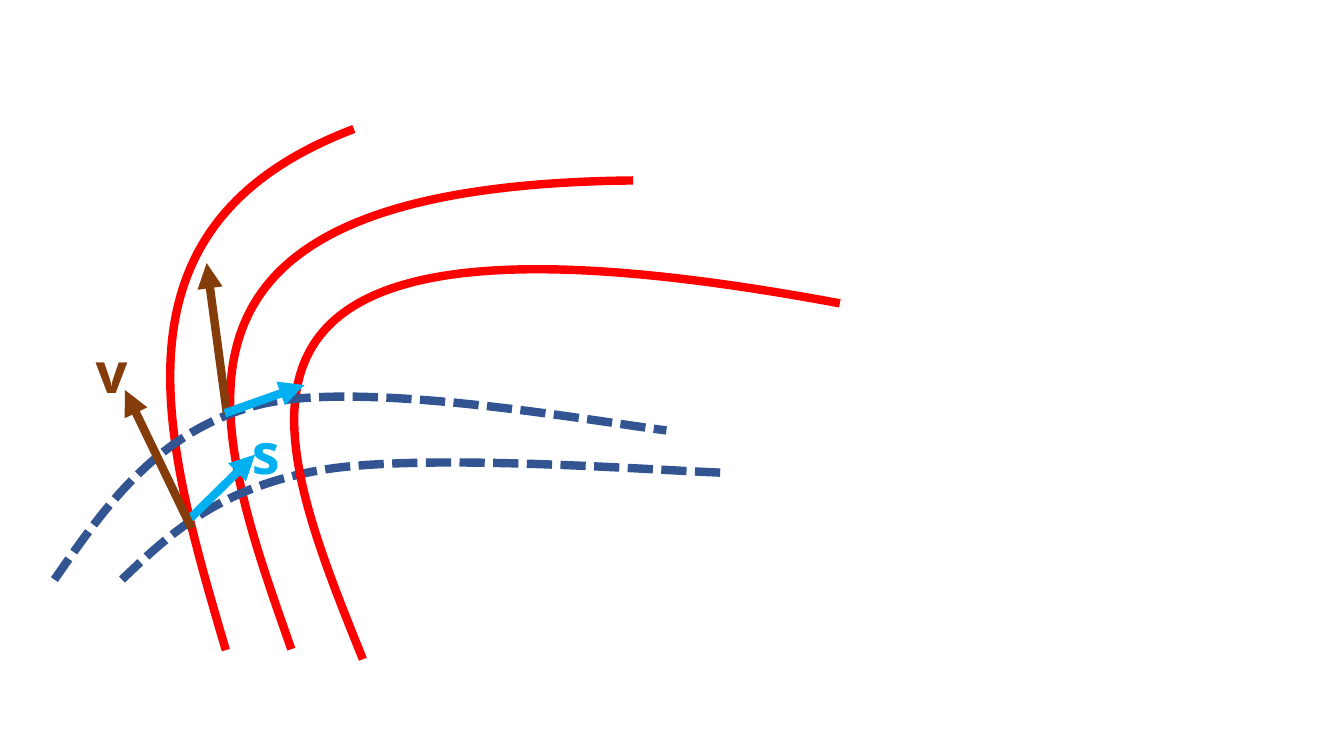
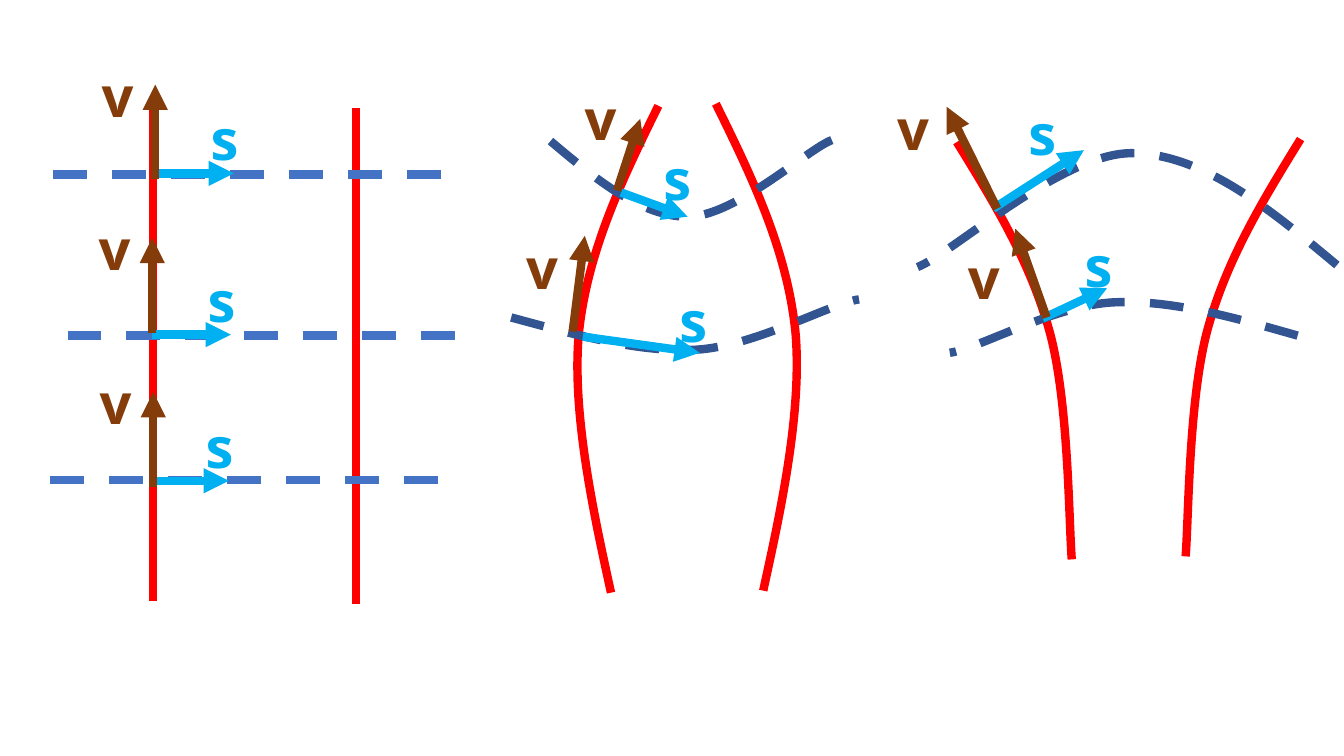
from dataclasses import dataclass

from pptx import Presentation
from pptx.dml.color import RGBColor
from pptx.enum.dml import MSO_LINE as Dash
from pptx.enum.shapes import MSO_CONNECTOR as Connector
from pptx.enum.text import MSO_AUTO_SIZE as AutoSize
from pptx.oxml.ns import qn
from pptx.util import Inches, Pt
from lxml.etree import SubElement


@dataclass(frozen=True)
class Theme:
    """Colours, fonts and sizes shared by the slides."""
    flow: str = "FF0000"
    front: str = "325491"
    level: str = "4472C4"
    s: str = "00B0F0"
    v: str = "843C0B"
    font: str = "Open Sans"
    letter_size: int = 40
    stroke: int = 6
    label: tuple = (0.55, 0.77)


THEME = Theme()


def assign(target, values):
    """Set attributes of target from a dict."""
    for name, value in values.items():
        setattr(target, name, value)


def bezier(start, first, second, end, steps=40):
    """Return points along a cubic curve, without its start."""
    points = []
    for step in range(1, steps + 1):
        t = step / steps
        weights = ((1 - t) ** 3, 3 * t * (1 - t) ** 2, 3 * t * t * (1 - t), t ** 3)
        corners = (start, first, second, end)
        points.append(tuple(sum(weight * corner[axis] for weight, corner in zip(weights, corners))
                            for axis in (0, 1)))
    return points


def mirror(points, width, lift):
    """Reflect points within a width and raise them by lift."""
    return [(width - x, y - lift) for x, y in points]


class Panel:
    """A group whose parts are placed relative to the corner of its box."""

    def __init__(self, slide, left, top):
        """Open an empty group at the given corner."""
        self.shapes = slide.shapes.add_group_shape().shapes
        self.left, self.top = left, top

    def place(self, point):
        """Turn a point of the box into slide lengths."""
        return Inches(self.left + point[0]), Inches(self.top + point[1])

    def stroke(self, shape, color, dash=None):
        """Give a shape the shared line width, a colour and a dash."""
        shape.line.color.rgb = RGBColor.from_string(color)
        assign(shape.line, {"width": Pt(THEME.stroke), "dash_style": dash})

    def curve(self, points, color=THEME.flow, dash=None):
        """Draw cubic curves through a start and triples of points."""
        outline = []
        for index in range(0, len(points) - 1, 3):
            outline += bezier(*points[index:index + 4])
        builder = self.shapes.build_freeform(*self.place(points[0]))
        builder.add_line_segments([self.place(point) for point in outline], close=False)
        shape = builder.convert_to_shape()
        shape.shadow.inherit = False
        shape.fill.background()
        self.stroke(shape, color, dash)

        path = next(shape._element.iter(qn("a:path")))
        for segment in path.findall(qn("a:lnTo")):
            path.remove(segment)
        for index in range(1, len(points), 3):
            segment = SubElement(path, qn("a:cubicBezTo"))
            for point in points[index:index + 3]:
                x, y = self.place(point)
                SubElement(segment, qn("a:pt"), x=str(x - shape.left), y=str(y - shape.top))

    def line(self, start, end, color=THEME.flow, dash=None, arrow=False):
        """Draw a straight line, with an arrowhead if asked."""
        connector = self.shapes.add_connector(Connector.STRAIGHT, *self.place(start),
                                              *self.place(end))
        self.stroke(connector, color, dash)
        properties = connector._element.spPr
        if arrow:
            SubElement(properties.find(qn("a:ln")), qn("a:tailEnd"), type="triangle")
        SubElement(properties, qn("a:effectLst"))

    def vector(self, letter, start, end, corner=None):
        """Draw an arrow in its letter's colour and label it at a corner."""
        color = getattr(THEME, letter)
        self.line(start, end, color, arrow=True)
        if corner is None:
            return
        size = [Inches(length) for length in THEME.label]
        frame = self.shapes.add_textbox(*self.place(corner), *size).text_frame
        assign(frame, {"word_wrap": True, "auto_size": AutoSize.SHAPE_TO_FIT_TEXT})
        run = frame.paragraphs[0].add_run()
        run.text = letter
        assign(run.font, {"name": THEME.font, "size": Pt(THEME.letter_size), "bold": True})
        run.font.color.rgb = RGBColor.from_string(color)


def bent_flow(slide, left, top):
    """Draw three bent streamlines crossed by two fronts."""
    panel = Panel(slide, left, top)
    front = {"color": THEME.front, "dash": Dash.SQUARE_DOT}
    panel.curve([(1.74, 5.45), (1.12, 3.34), (0.5, 1.23), (3.01, 0.28)])
    panel.curve([(2.39, 5.44), (1.58, 3.14), (0.76, 0.84), (5.78, 0.79)])
    panel.curve([(0.71, 4.75), (1.18, 4.3), (1.66, 3.85), (2.65, 3.67),
                 (3.64, 3.49), (5.88, 3.66), (6.66, 3.69)], **front)
    panel.curve([(3.1, 5.54), (2.14, 3.16), (1.18, 0.77), (7.83, 2.01)])
    panel.vector("s", (1.37, 4.16), (2.03, 3.51), (1.9, 3.1))
    panel.curve([(0.04, 4.75), (0.56, 4), (1.08, 3.26), (2.09, 3.01),
                 (3.1, 2.77), (5.33, 3.17), (6.11, 3.27)], **front)
    panel.vector("v", (1.4, 4.24), (0.74, 2.87), (0.35, 2.3))
    panel.vector("v", (1.75, 3.1), (1.55, 1.61))
    panel.vector("s", (1.73, 3.1), (2.52, 2.82))


def parallel_flow(slide, left, top):
    """Draw two straight streamlines crossed by three level fronts."""
    panel = Panel(slide, left, top)
    for x, y in ((1.02, 0.54), (3.03, 0.57)):
        panel.line((x, y), (x, y + 4.92))
    for x, y in ((0.03, 1.23), (0.17, 2.83), (0, 4.26)):
        panel.line((x, y), (x + 4.06, y), THEME.level, Dash.DASH)
    for x, y in ((1.04, 1.22), (1.01, 2.82), (0.99, 4.27)):
        panel.vector("s", (x, y), (x + 0.78, y), (x + 0.45, y - 0.73))
    for x, y in ((1.02, 4.33), (1.01, 2.8), (1.04, 1.28)):
        panel.vector("v", (x, y), (x, y - 0.94), (x - 0.63, y - 1.22))


def mirrored_flow(slide, left, top, side, width, lift, fronts, vectors):
    """Draw a streamline and its mirror image, fronts and vectors."""
    panel = Panel(slide, left, top)
    panel.curve(side)
    panel.curve(mirror(side, width, lift))
    for front in fronts:
        panel.curve(front, THEME.front, Dash.DASH)
    for vector in vectors:
        panel.vector(*vector)


CONVERGING = {
    "side": [(1.53, 0.55), (1.17, 1.28), (0.82, 2.01), (0.74, 2.82),
             (0.67, 3.62), (0.9, 4.65), (1.06, 5.38)],
    "width": 3.63,
    "lift": 0.02,
    "fronts": [
        [(0.46, 0.9), (0.91, 1.28), (1.36, 1.65), (1.82, 1.65),
         (2.29, 1.65), (3.01, 0.98), (3.25, 0.89)],
        [(0.07, 2.65), (0.7, 2.82), (1.33, 3), (1.9, 2.97),
         (2.48, 2.94), (3.24, 2.51), (3.52, 2.47)],
    ],
    "vectors": [
        ("s", (1.16, 1.41), (1.82, 1.65), (1.48, 0.88)),
        ("s", (0.78, 2.84), (1.94, 3), (1.64, 2.29)),
        ("v", (1.12, 1.39), (1.35, 0.68), (0.7, 0.29)),
        ("v", (0.68, 2.79), (0.8, 1.84), (0.12, 1.77)),
    ],
}

DIVERGING = {
    "side": [(0.69, 0.91), (1.06, 1.51), (1.42, 2.1), (1.61, 2.79),
             (1.8, 3.48), (1.8, 4.66), (1.83, 5.05)],
    "width": 4.79,
    "lift": 0.03,
    "fronts": [
        [(4.07, 2.83), (3.44, 2.65), (2.81, 2.47), (2.24, 2.5),
         (1.66, 2.53), (0.9, 2.96), (0.62, 3)],
        [(4.46, 2.13), (3.79, 1.57), (3.12, 1.02), (2.42, 1.02),
         (1.73, 1.02), (0.64, 2.02), (0.3, 2.15)],
    ],
    "vectors": [
        ("s", (1.05, 1.57), (1.95, 0.99), (1.3, 0.44)),
        ("s", (1.54, 2.66), (2.18, 2.36), (1.86, 1.75)),
        ("v", (1.58, 2.65), (1.27, 1.77), (0.7, 1.87)),
        ("v", (1.09, 1.57), (0.59, 0.56), (0, 0.39)),
    ],
}


def main():
    """Build both slides and save the presentation."""
    presentation = Presentation()
    assign(presentation, {"slide_width": Inches(13.33), "slide_height": Inches(7.5)})
    blank = presentation.slide_layouts[6]

    bent_flow(presentation.slides.add_slide(blank), 0.5, 1)

    comparison = presentation.slides.add_slide(blank)
    parallel_flow(comparison, 0.5, 0.5)
    mirrored_flow(comparison, 5, 0.5, **CONVERGING)
    mirrored_flow(comparison, 8.8, 0.5, **DIVERGING)

    presentation.save("out.pptx")


main()
